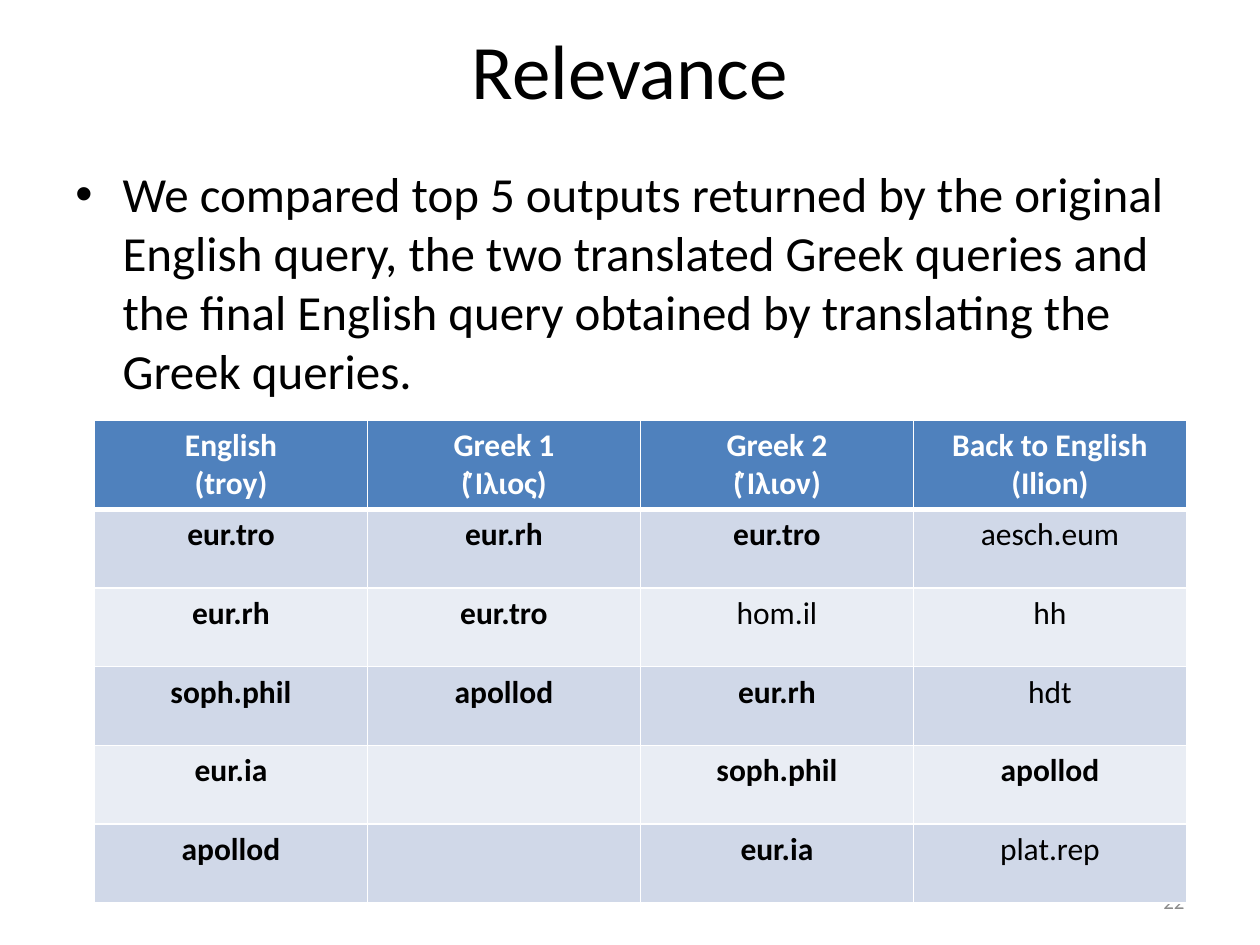
from lxml import etree
from pptx import Presentation
from pptx.dml.color import RGBColor
from pptx.enum import text
from pptx.oxml import ns
from pptx.util import Pt

TITLE = "Relevance"
BODY = ("We compared top 5 outputs returned by the original English query, "
        "the two translated Greek queries and the final English query "
        "obtained by translating the Greek queries.")
PAGE_NUMBER = "22"

# Each query: language, search word, top outputs
QUERIES = [
    ("English", "(troy)", ["eur.tro", "eur.rh", "soph.phil", "eur.ia", "apollod"]),
    ("Greek 1", "(Ἴλιος)", ["eur.rh", "eur.tro", "apollod"]),
    ("Greek 2", "(Ἴλιον)", ["eur.tro", "hom.il", "eur.rh", "soph.phil", "eur.ia"]),
    ("Back to English", "(Ilion)", ["aesch.eum", "hh", "hdt", "apollod", "plat.rep"]),
]
RELEVANT = QUERIES[0][2]
OUTPUT_COUNT = 5

THEME = {
    "font": "Calibri",
    "title": 44, "body": 28, "table": 18, "number": 12,
    "black": "000000", "white": "FFFFFF", "grey": "8C8C8C",
    "header": "4F81BD", "bands": ("D0D8E8", "E9EDF4"),
}
TABLE_LEFT, TABLE_TOP, COLUMN_WIDTH = 54, 240, 156
HEADER_HEIGHT, ROW_HEIGHT = 51, 45
THIN, THICK = 1, 3


def style(paragraph, size, color, align, bold=False):
    paragraph.alignment = align
    font = paragraph.font
    font.name, font.size, font.bold = THEME["font"], Pt(size), bold
    font.color.rgb = RGBColor.from_string(color)


def add_text(slide, box, words, size, color, align, anchor):
    frame = slide.shapes.add_textbox(*map(Pt, box)).text_frame
    frame.word_wrap = True
    frame.vertical_anchor = anchor
    paragraph = frame.paragraphs[0]
    paragraph.text = words
    style(paragraph, size, color, align)
    return paragraph


def add_bullet(paragraph, indent):
    properties = paragraph._p.get_or_add_pPr()
    properties.set("marL", str(Pt(indent)))
    properties.set("indent", str(-Pt(indent)))
    font = etree.Element(ns.qn("a:buFont"), typeface="Arial")
    bullet = etree.Element(ns.qn("a:buChar"), char="•")
    properties.extend([font, bullet])


def add_borders(cell, top, bottom):
    properties = cell._tc.get_or_add_tcPr()
    for side, width in (("L", THIN), ("R", THIN), ("T", top), ("B", bottom)):
        line = etree.SubElement(properties, ns.qn(f"a:ln{side}"), w=str(Pt(width)))
        fill = etree.SubElement(line, ns.qn("a:solidFill"))
        etree.SubElement(fill, ns.qn("a:srgbClr"), val=THEME["white"])


def fill_cell(cell, lines, row):
    """Write and colour one cell; outputs the English query also found are bold."""
    header = row == 0
    add_borders(cell, THICK if row == 1 else THIN, THICK if header else THIN)
    cell.fill.solid()
    color = THEME["header"] if header else THEME["bands"][(row - 1) % 2]
    cell.fill.fore_color.rgb = RGBColor.from_string(color)
    cell.text_frame.text = "\n".join(lines)
    for paragraph in cell.text_frame.paragraphs:
        style(paragraph, THEME["table"], THEME["white" if header else "black"],
              text.PP_ALIGN.CENTER, header or paragraph.text in RELEVANT)


def add_query_table(slide):
    width = COLUMN_WIDTH * len(QUERIES)
    height = HEADER_HEIGHT + ROW_HEIGHT * OUTPUT_COUNT
    table = slide.shapes.add_table(
        OUTPUT_COUNT + 1, len(QUERIES),
        Pt(TABLE_LEFT), Pt(TABLE_TOP), Pt(width), Pt(height)).table
    for index, row in enumerate(table.rows):
        row.height = Pt(ROW_HEIGHT if index else HEADER_HEIGHT)
    for column, (language, word, outputs) in enumerate(QUERIES):
        table.columns[column].width = Pt(COLUMN_WIDTH)
        fill_cell(table.cell(0, column), [language, word], 0)
        for row in range(1, OUTPUT_COUNT + 1):
            fill_cell(table.cell(row, column), outputs[row - 1:row], row)


def main():
    presentation = Presentation()
    presentation.slide_width, presentation.slide_height = Pt(720), Pt(540)
    slide = presentation.slides.add_slide(presentation.slide_layouts[6])
    align, anchor = text.PP_ALIGN, text.MSO_ANCHOR
    add_text(slide, (36, 0, 648, 78), TITLE, THEME["title"], THEME["black"],
             align.CENTER, anchor.MIDDLE)
    add_text(slide, (516, 500.5, 168, 28.75), PAGE_NUMBER, THEME["number"],
             THEME["grey"], align.RIGHT, anchor.MIDDLE)
    body = add_text(slide, (36, 90, 648, 420), BODY, THEME["body"],
                    THEME["black"], align.LEFT, anchor.TOP)
    add_bullet(body, 27)
    add_query_table(slide)
    presentation.save("out.pptx")


if __name__ == "__main__":
    main()
